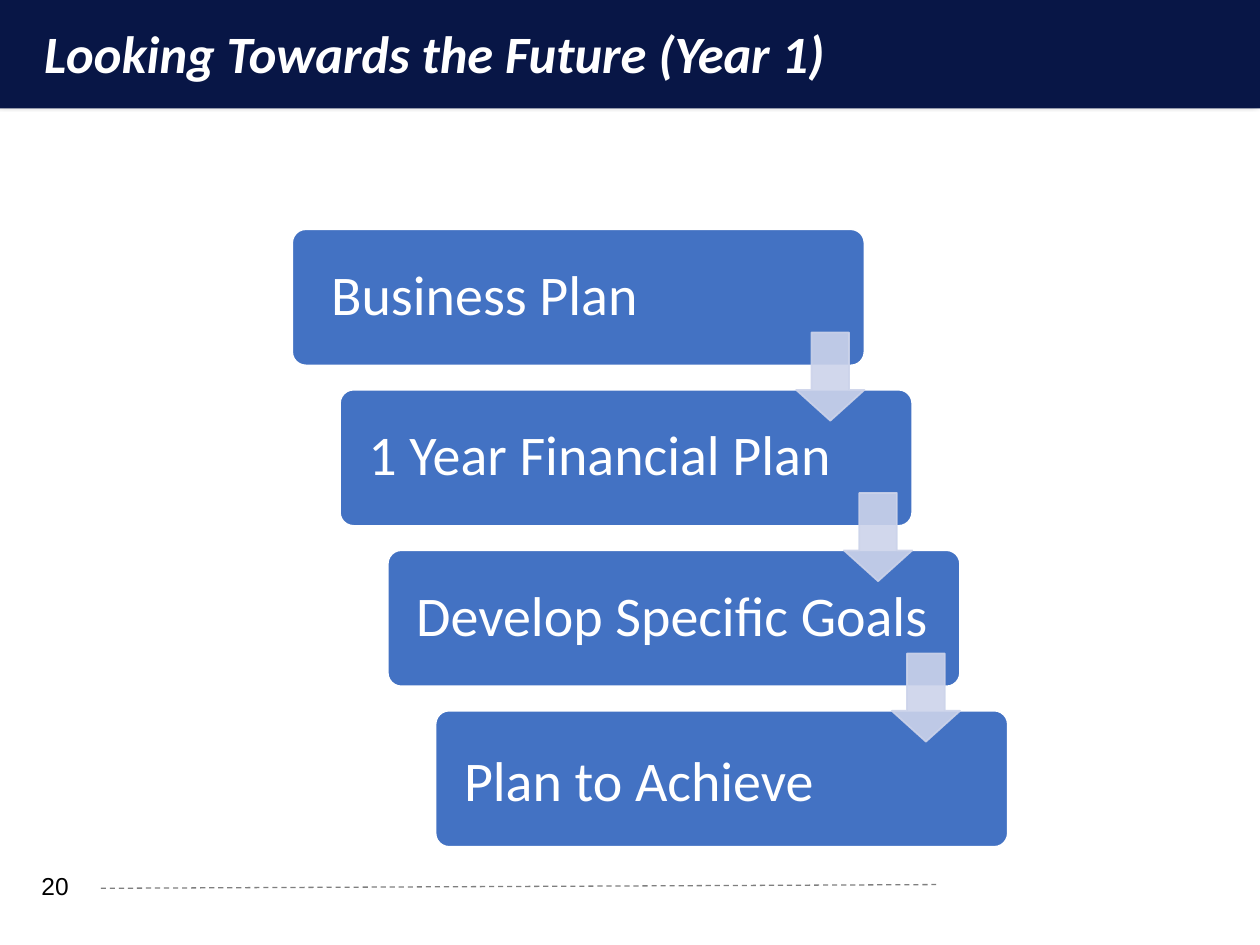
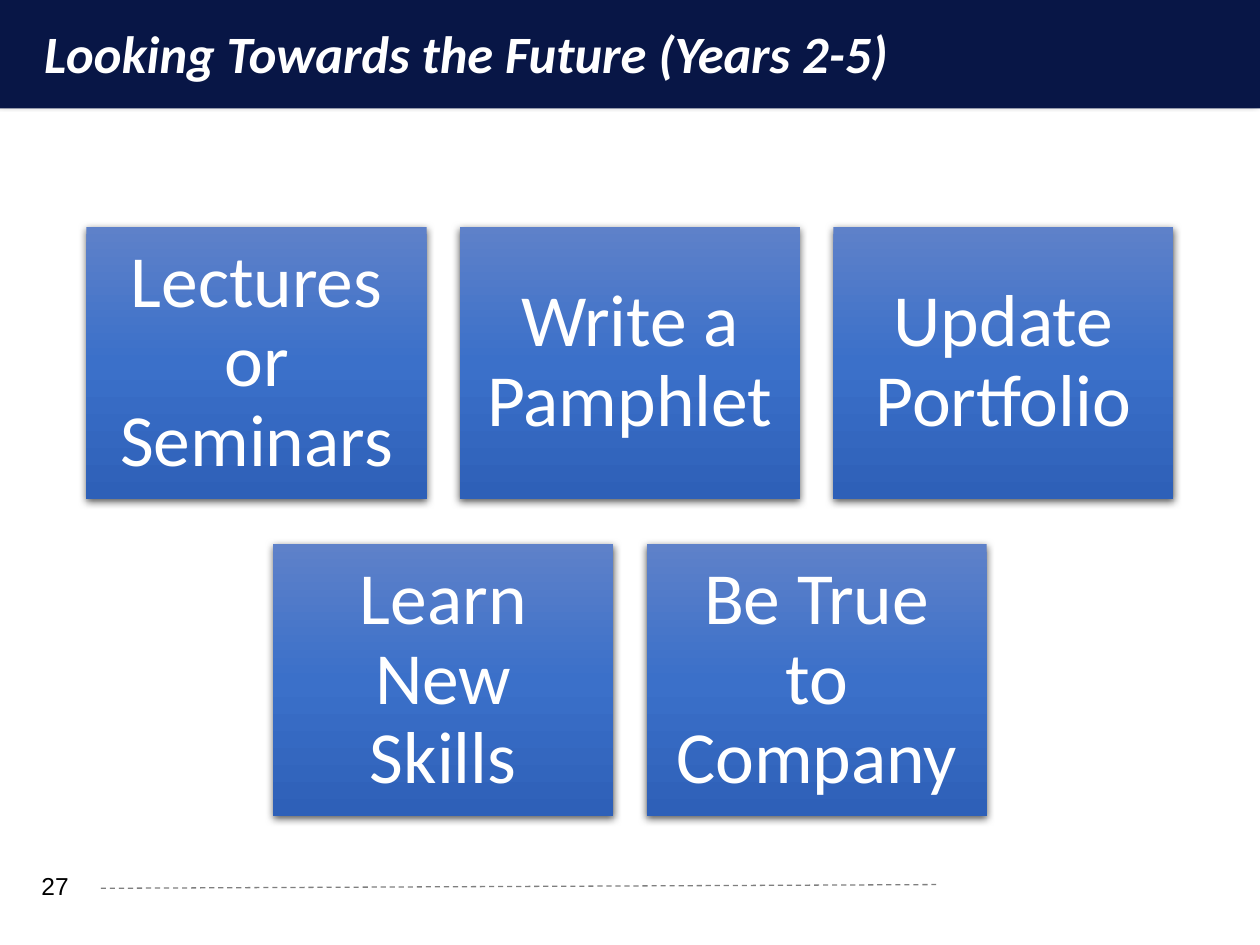
"""Build two planning slides: a first-year staircase and a grid of later goals."""
import copy
from dataclasses import dataclass

import lxml.etree
import pptx
import pptx.dml.color
import pptx.enum.dml
import pptx.enum.shapes
import pptx.enum.text
import pptx.oxml.ns
import pptx.util

Pt = pptx.util.Pt
Shapes = pptx.enum.shapes.MSO_SHAPE
Anchor = pptx.enum.text.MSO_ANCHOR
Align = pptx.enum.text.PP_ALIGN
qn = pptx.oxml.ns.qn

SLIDE_W, SLIDE_H = 720, 540
NAVY, BLUE, PALE, GREY = "081646", "4372C3", "CCD3EA", "7F7F7F"
WHITE, BLACK = "FFFFFF", "000000"
TILE_GRADIENT = [(0, "5E81C9"), (0.5, "3B70C9"), (1, "2E60B8")]
ARROW_OPACITY = 90

STEP_W, STEP_H = 327, 77.8
STEP_LEFT, STEP_TOP = 167, 131
STEP_DX, STEP_DY = 27.3, 91.7
ARROW_W, ARROW_H, ARROW_DROP = 39, 50.4, 59
TILE_W, TILE_H, TILE_GAP = 194.4, 155.5, 19
TILE_TOP, TILE_DY = 129.6, 181.4


@dataclass(frozen=True)
class Box:
    left: float
    top: float
    width: float
    height: float

    def lengths(self) -> list:
        return [Pt(v) for v in (self.left, self.top, self.width, self.height)]


@dataclass(frozen=True)
class Shadow:
    opacity: int
    blur: float
    distance: float
    angle: int


@dataclass(frozen=True)
class Step:
    label: str
    insets: tuple = (14, 12, 12, 12)


STEPS = [
    Step("Business Plan", (20, 12, 12, 12)),
    Step("1 Year Financial Plan"),
    Step("Develop Specific Goals"),
    Step("Plan to Achieve", (14, 17, 12, 12)),
]
TILE_ROWS = [
    ["Lectures or Seminars", "Write a Pamphlet", "Update Portfolio"],
    ["Learn New Skills", "Be True to Company"],
]
BAND_SHADOW = Shadow(40, 4, 3, 225)
TILE_SHADOW = Shadow(63, 4.5, 1.5, 90)


def rgb(color: str) -> pptx.dml.color.RGBColor:
    return pptx.dml.color.RGBColor.from_string(color)


def write(shape, text: str, *, size: float, color: str = WHITE, font: str = "Calibri",
          bold: bool = False, italic: bool = False, align=Align.LEFT,
          anchor=Anchor.MIDDLE, insets: tuple = (12, 12, 12, 12),
          spacing: float = 1.0) -> None:
    frame = shape.text_frame
    frame.text = text
    frame.word_wrap = True
    frame.auto_size = pptx.enum.text.MSO_AUTO_SIZE.NONE
    frame.vertical_anchor = anchor
    (frame.margin_left, frame.margin_top,
     frame.margin_right, frame.margin_bottom) = [Pt(v) for v in insets]
    paragraph = frame.paragraphs[0]
    paragraph.alignment = align
    paragraph.line_spacing = spacing
    style = paragraph.runs[0].font
    style.name, style.size = font, Pt(size)
    style.bold, style.italic = bold, italic
    style.color.rgb = rgb(color)


def add_block(slide, kind, box: Box, *, fill: str = "", line: str = ""):
    block = slide.shapes.add_shape(kind, *box.lengths())
    block.shadow.inherit = False
    if fill:
        block.fill.solid()
        block.fill.fore_color.rgb = rgb(fill)
    if line:
        block.line.color.rgb = rgb(line)
        block.line.width = Pt(1)
    else:
        block.line.fill.background()
    return block


def cast_shadow(shape, shadow: Shadow) -> None:
    effects = shape._element.spPr.find(qn("a:effectLst"))
    outer = lxml.etree.SubElement(
        effects, qn("a:outerShdw"), blurRad=str(Pt(shadow.blur)),
        dist=str(Pt(shadow.distance)), dir=str(shadow.angle * 60000),
        algn="ctr", rotWithShape="0")
    tint = lxml.etree.SubElement(outer, qn("a:srgbClr"), val=BLACK)
    lxml.etree.SubElement(tint, qn("a:alpha"), val=str(shadow.opacity * 1000))


def fade(shape, opacity: int) -> None:
    for tint in shape._element.spPr.iter(qn("a:srgbClr")):
        lxml.etree.SubElement(tint, qn("a:alpha"), val=str(opacity * 1000))


def fill_gradient(shape, stops: list) -> None:
    shape.fill.gradient()
    shape.fill.gradient_angle = 270
    stop_list = next(shape._element.spPr.iter(qn("a:gsLst")))
    while len(stop_list) < len(stops):
        stop_list.append(copy.deepcopy(stop_list[0]))
    for stop, (position, color) in zip(shape.fill.gradient_stops, stops):
        stop.position = position
        stop.color.rgb = rgb(color)


def share_frame(slide) -> None:
    band = add_block(slide, Shapes.RECTANGLE, Box(0, 0, SLIDE_W, 62), fill=NAVY)
    cast_shadow(band, BAND_SHADOW)
    rule = slide.shapes.add_connector(
        pptx.enum.shapes.MSO_CONNECTOR.STRAIGHT, Pt(57.6), Pt(507.6), Pt(535), Pt(505.5))
    rule.line.color.rgb = rgb(GREY)
    rule.line.width = Pt(0.75)
    rule.line.dash_style = pptx.enum.dml.MSO_LINE.DASH
    lxml.etree.SubElement(rule._element.spPr, qn("a:effectLst"))
    layout_tree = slide.slide_layout.shapes._spTree
    for number, part in enumerate((rule, band), start=101):
        part._element[0][0].set("id", str(number))
        layout_tree.append(part._element)


def add_slide(deck, title: str, page: int):
    slide = deck.slides.add_slide(deck.slide_layouts[5])
    heading = slide.shapes.title
    heading.left, heading.top, heading.width, heading.height = Box(18, 5, 684, 50.4).lengths()
    write(heading, title, size=30, bold=True, italic=True,
          anchor=Anchor.BOTTOM, insets=(7.2, 7.2, 7.2, 7.2))
    page_number = slide.shapes.add_textbox(*Box(16.6, 495.4, 35.3, 20.9).lengths())
    write(page_number, str(page), size=14, color=BLACK, font="Arial",
          insets=(7.2, 3.6, 7.2, 3.6))
    return slide


def draw_staircase(slide) -> None:
    places = [Box(STEP_LEFT + i * STEP_DX, STEP_TOP + i * STEP_DY, STEP_W, STEP_H)
              for i in range(len(STEPS))]
    for step, place in zip(STEPS, places):
        block = add_block(slide, Shapes.ROUNDED_RECTANGLE, place, fill=BLUE, line=WHITE)
        block.adjustments[0] = 0.1
        write(block, step.label, size=32, insets=step.insets, spacing=0.9)
    for place in places[:-1]:
        spot = Box(place.left + STEP_W - ARROW_W, place.top + ARROW_DROP, ARROW_W, ARROW_H)
        arrow = add_block(slide, Shapes.DOWN_ARROW, spot, fill=PALE, line=PALE)
        arrow.adjustments[0], arrow.adjustments[1] = 0.55, 0.45
        fade(arrow, ARROW_OPACITY)


def draw_goal_tiles(slide) -> None:
    pitch = TILE_W + TILE_GAP
    for row, goals in enumerate(TILE_ROWS):
        row_left = (SLIDE_W - len(goals) * pitch + TILE_GAP) / 2
        for column, goal in enumerate(goals):
            place = Box(row_left + column * pitch, TILE_TOP + row * TILE_DY, TILE_W, TILE_H)
            tile = add_block(slide, Shapes.RECTANGLE, place)
            fill_gradient(tile, TILE_GRADIENT)
            cast_shadow(tile, TILE_SHADOW)
            write(tile, goal, size=42, align=Align.CENTER, spacing=0.9)


def main() -> None:
    deck = pptx.Presentation()
    deck.slide_width, deck.slide_height = Pt(SLIDE_W), Pt(SLIDE_H)
    first_year = add_slide(deck, "Looking Towards the Future (Year 1)", 20)
    share_frame(first_year)
    draw_staircase(first_year)
    later_years = add_slide(deck, "Looking Towards the Future (Years 2-5)", 27)
    draw_goal_tiles(later_years)
    deck.save("out.pptx")


if __name__ == "__main__":
    main()
